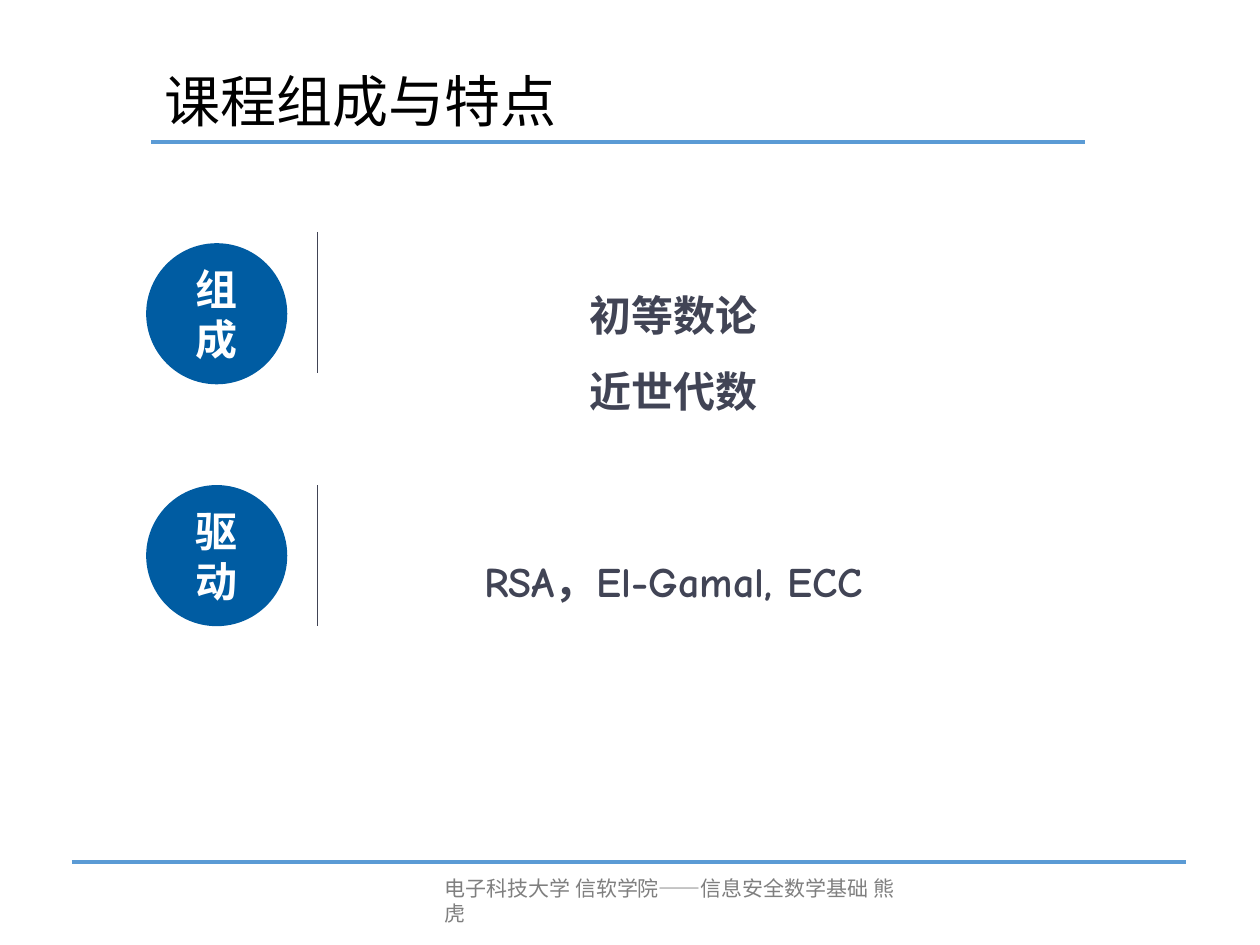
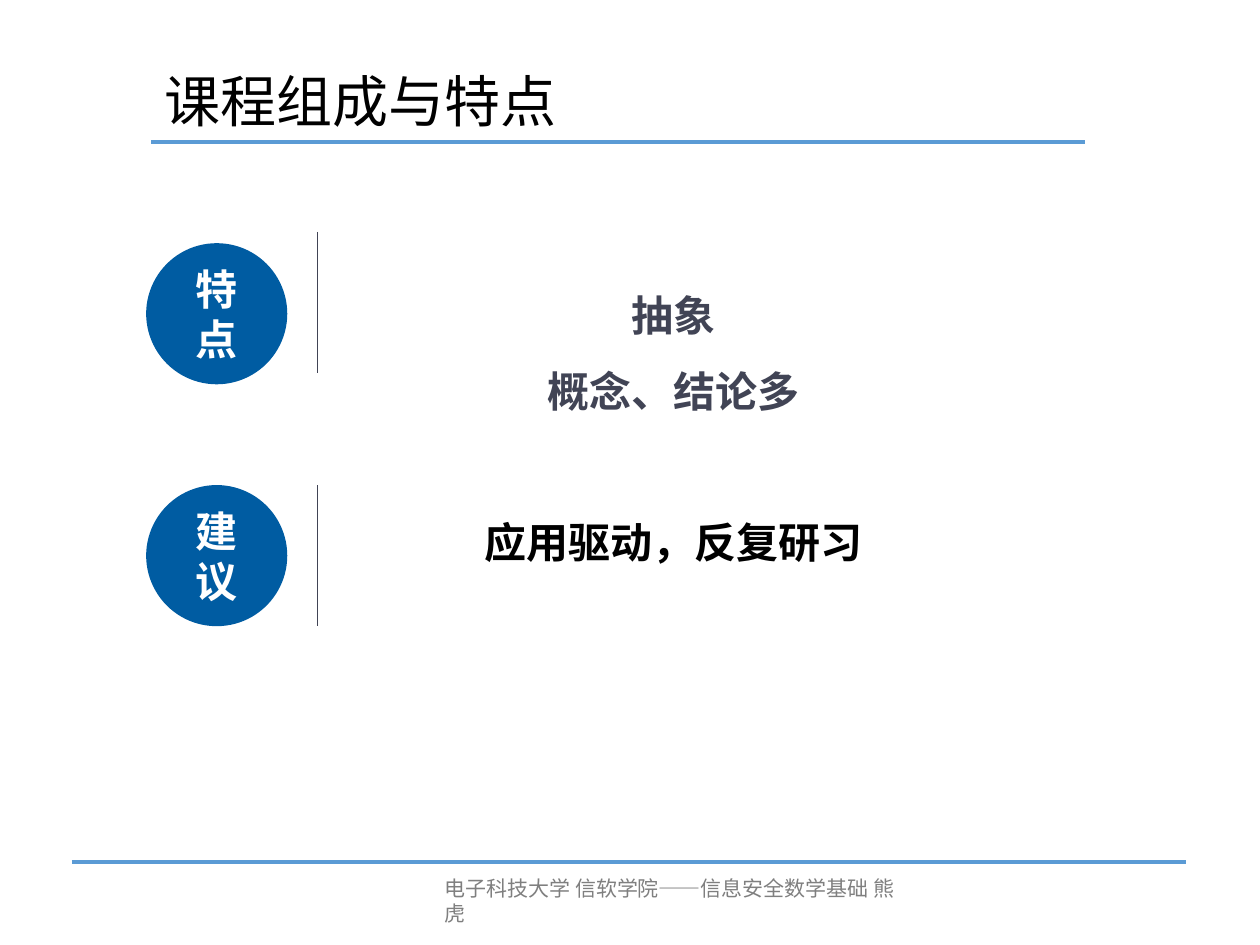
from dataclasses import dataclass
from typing import Any

from lxml.etree import SubElement
from pptx import Presentation
from pptx.dml.color import RGBColor as Rgb
from pptx.enum.shapes import MSO_CONNECTOR as Connector, MSO_SHAPE as Shape
from pptx.enum.text import MSO_ANCHOR as Anchor, PP_ALIGN as Align
from pptx.oxml.ns import qn
from pptx.util import Pt

PX = 9144
HAN_FONT = "Noto Sans CJK SC"
COLOURS = {
    "rule": "5B9BD5",
    "badge": "005CA2",
    "slate": "414455",
    "white": "FFFFFF",
    "black": "000000",
    "footer": "7F7F7F",
}
TITLE = "课程组成与特点"
FOOTER = "电子科技大学 信软学院——信息安全数学基础 熊虎"

BADGE_LEFT, BADGE_SIZE = 116, 112
DIVIDER_X, DIVIDER_LENGTH = 252, 112
DETAIL_LEFT, DETAIL_WIDTH, DETAIL_LINE = 276, 517, 65


@dataclass(frozen=True)
class Topic:
    label: str
    details: tuple[str, ...]
    badge_top: int
    divider_top: int
    detail_top: int
    font: str = HAN_FONT
    colour: str = "slate"


PAGES = (
    (
        Topic("组成", ("初等数论", "近世代数"), 193, 184, 205),
        Topic("驱动", ("RSA，El-Gamal, ECC",), 385, 385, 416, font="Comic Neue"),
    ),
    (
        Topic("特点", ("抽象", "概念、结论多"), 193, 184, 205),
        Topic("建议", ("应用驱动，反复研习",), 385, 385, 385,
              font="Times New Roman", colour="black"),
    ),
)


def rgb(name: str) -> Rgb:
    return Rgb.from_string(COLOURS[name])


def write(shape: Any, *lines: str, size: int, colour: str, font: str = HAN_FONT,
          bold: bool = False, align: Align = Align.CENTER,
          spacing: float = 1.0, anchor: Anchor = Anchor.TOP) -> None:
    frame = shape.text_frame
    frame.word_wrap = True
    frame.vertical_anchor = anchor
    for index, line in enumerate(lines):
        para = frame.add_paragraph() if index else frame.paragraphs[0]
        para.alignment = align
        para.line_spacing = spacing
        span = para.add_run()
        span.text = line
        span.font.size = Pt(size)
        span.font.bold = bold
        span.font.name = font
        span.font.color.rgb = rgb(colour)
        SubElement(span.font._element, qn("a:ea")).set("typeface", HAN_FONT)


def add_box(page: Any, left: int, top: int, width: int, height: int,
            *lines: str, **style: Any) -> None:
    box = page.shapes.add_textbox(left * PX, top * PX, width * PX, height * PX)
    write(box, *lines, **style)


def add_line(page: Any, x1: int, y1: int, x2: int, y2: int,
             colour: str, weight: float) -> None:
    line = page.shapes.add_connector(
        Connector.STRAIGHT, x1 * PX, y1 * PX, x2 * PX, y2 * PX)
    line.line.color.rgb = rgb(colour)
    line.line.width = Pt(weight)
    SubElement(line._element.spPr, qn("a:effectLst"))


def add_badge(page: Any, label: str, top: int) -> None:
    badge = page.shapes.add_shape(
        Shape.OVAL, BADGE_LEFT * PX, top * PX, BADGE_SIZE * PX, BADGE_SIZE * PX)
    badge.shadow.inherit = False
    badge.fill.solid()
    badge.fill.fore_color.rgb = rgb("badge")
    badge.line.fill.background()
    write(badge, label, size=24, colour="white", bold=True, anchor=Anchor.MIDDLE)


def add_topic(page: Any, topic: Topic) -> None:
    add_badge(page, topic.label, topic.badge_top)
    add_box(page, DETAIL_LEFT, topic.detail_top, DETAIL_WIDTH,
            DETAIL_LINE * len(topic.details), *topic.details,
            size=24, colour=topic.colour, font=topic.font, bold=True, spacing=1.5)
    add_line(page, DIVIDER_X, topic.divider_top,
             DIVIDER_X, topic.divider_top + DIVIDER_LENGTH, "slate", 0.5)


def add_page(deck: Any, topics: tuple[Topic, ...]) -> None:
    page = deck.slides.add_slide(deck.slide_layouts[6])
    add_line(page, 120, 113, 861, 113, "rule", 2.25)
    add_line(page, 57, 684, 941, 684, "rule", 2.25)
    for topic in topics:
        add_topic(page, topic)
    add_box(page, 80, 48, 412, 73, TITLE, size=32, colour="black")
    add_box(page, 343, 690, 390, 30, FOOTER,
            size=12, colour="footer", align=Align.LEFT)


def main() -> None:
    deck = Presentation()
    deck.slide_width, deck.slide_height = 1000 * PX, 750 * PX
    for topics in PAGES:
        add_page(deck, topics)
    deck.save("out.pptx")


if __name__ == "__main__":
    main()
